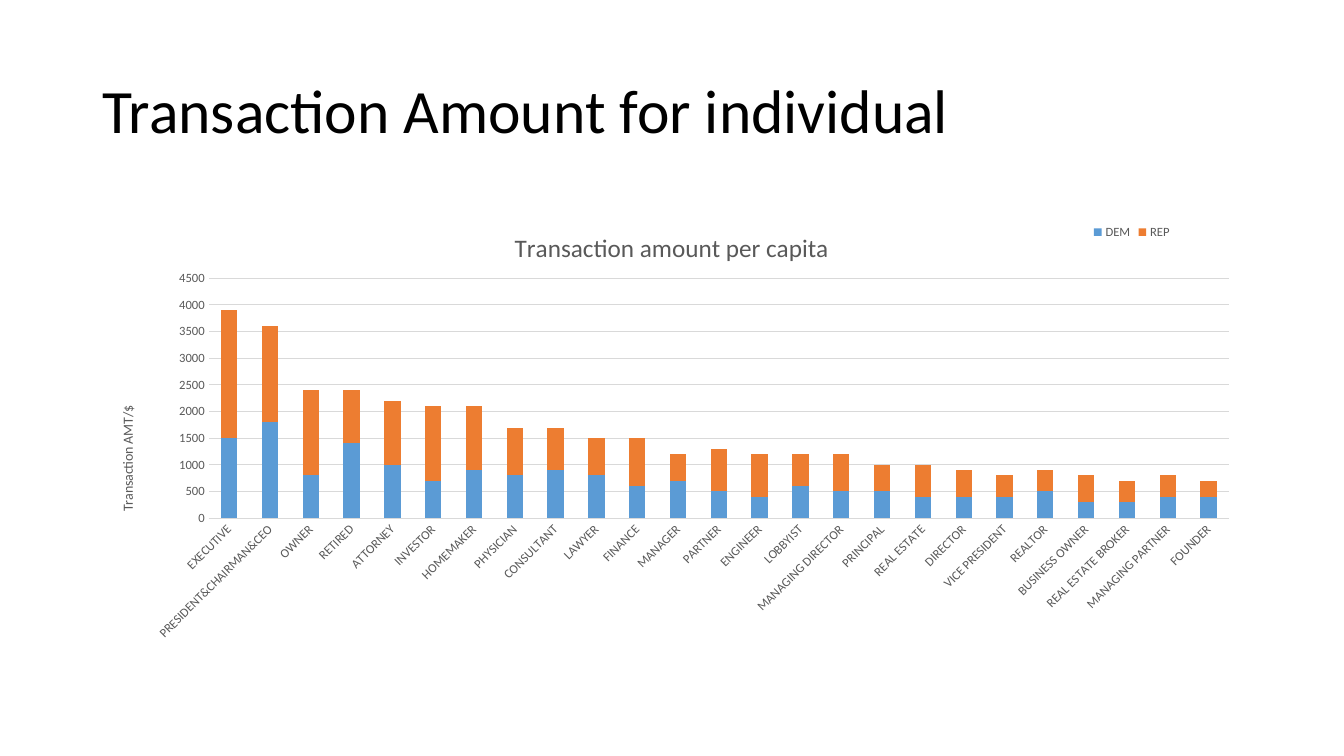
from lxml.etree import SubElement
from pptx import Presentation
from pptx.chart.data import CategoryChartData
from pptx.dml.color import RGBColor
from pptx.enum.chart import XL_CHART_TYPE, XL_LEGEND_POSITION, XL_TICK_MARK
from pptx.enum.text import MSO_ANCHOR
from pptx.oxml.ns import qn
from pptx.util import Inches, Pt

COLORS = {"title": "000000", "label": "595959", "grid": "D9D9D9",
          "DEM": "5B9BD5", "REP": "ED7D31"}
FONT = "Calibri"
TRANSACTIONS = [
    ("EXECUTIVE", 1500, 2400),
    ("PRESIDENT&CHAIRMAN&CEO", 1800, 1800),
    ("OWNER", 800, 1600),
    ("RETIRED", 1400, 1000),
    ("ATTORNEY", 1000, 1200),
    ("INVESTOR", 700, 1400),
    ("HOMEMAKER", 900, 1200),
    ("PHYSICIAN", 800, 900),
    ("CONSULTANT", 900, 800),
    ("LAWYER", 800, 700),
    ("FINANCE", 600, 900),
    ("MANAGER", 700, 500),
    ("PARTNER", 500, 800),
    ("ENGINEER", 400, 800),
    ("LOBBYIST", 600, 600),
    ("MANAGING DIRECTOR", 500, 700),
    ("PRINCIPAL", 500, 500),
    ("REAL ESTATE", 400, 600),
    ("DIRECTOR", 400, 500),
    ("VICE PRESIDENT", 400, 400),
    ("REALTOR", 500, 400),
    ("BUSINESS OWNER", 300, 500),
    ("REAL ESTATE BROKER", 300, 400),
    ("MANAGING PARTNER", 400, 400),
    ("FOUNDER", 400, 300),
]


def style_font(font, size, color):
    font.name = FONT
    font.size = Pt(size)
    font.bold = False
    font.color.rgb = RGBColor.from_string(COLORS[color])


def place(element, index, **shares):
    for layout in element.findall(qn("c:layout")):
        element.remove(layout)
    layout = SubElement(element, qn("c:layout"))
    element.insert(index, layout)
    manual = SubElement(layout, qn("c:manualLayout"))
    if "w" in shares:
        SubElement(manual, qn("c:layoutTarget")).set("val", "inner")
    for side in ("x", "y"):
        SubElement(manual, qn(f"c:{side}Mode")).set("val", "edge")
    for name, share in shares.items():
        SubElement(manual, qn(f"c:{name}")).set("val", str(share))


presentation = Presentation()
presentation.slide_width = Inches(13.33)
presentation.slide_height = Inches(7.5)
slide = presentation.slides.add_slide(presentation.slide_layouts[6])
left, width = Inches(0.92), Inches(11.5)

heading = slide.shapes.add_textbox(left, Inches(0.4), width, Inches(1.45))
heading.text_frame.word_wrap = True
heading.text_frame.vertical_anchor = MSO_ANCHOR.MIDDLE
paragraph = heading.text_frame.paragraphs[0]
paragraph.text = "Transaction Amount for individual"
paragraph.line_spacing = 0.9
style_font(paragraph.font, 44, "title")

occupations, democrat, republican = zip(*TRANSACTIONS)
chart_data = CategoryChartData()
chart_data.categories = occupations
chart_data.add_series("DEM", democrat)
chart_data.add_series("REP", republican)
chart = slide.shapes.add_chart(XL_CHART_TYPE.COLUMN_STACKED, left, Inches(2),
                               width, Inches(4.76), chart_data).chart
style_font(chart.font, 10, "label")

plot = chart.plots[0]
plot.gap_width = 150
plot.overlap = 100
plot.vary_by_categories = False
for series in plot.series:
    series.format.fill.solid()
    series.format.fill.fore_color.rgb = RGBColor.from_string(COLORS[series.name])

category_axis, value_axis = chart.category_axis, chart.value_axis
for axis in (category_axis, value_axis):
    axis.major_tick_mark = XL_TICK_MARK.NONE
    axis.minor_tick_mark = XL_TICK_MARK.NONE
    style_font(axis.tick_labels.font, 9, "label")
value_axis.minimum_scale = 0
value_axis.maximum_scale = 4500
value_axis.major_unit = 500
value_axis.format.line.fill.background()
for line in (category_axis.format.line, value_axis.major_gridlines.format.line):
    line.width = Pt(0.75)
    line.color.rgb = RGBColor.from_string(COLORS["grid"])
label_body = category_axis.tick_labels.font._element.getparent().getparent().getparent()
label_body.find(qn("a:bodyPr")).set("rot", "-2700000")

for title, text, size in (
    (chart.chart_title, "Transaction amount per capita", 18),
    (value_axis.axis_title, "Transaction AMT/$", 10),
):
    title.text_frame.text = text
    style_font(title.text_frame.paragraphs[0].font, size, "label")
axis_body = value_axis.axis_title.text_frame._txBody.find(qn("a:bodyPr"))
axis_body.set("rot", "-5400000")
axis_body.set("vert", "horz")

chart.has_legend = True
chart.legend.position = XL_LEGEND_POSITION.BOTTOM
chart.legend.include_in_layout = False
style_font(chart.legend.font, 9, "label")

place(plot._element.getparent(), 0, x=0.1, y=0.16, w=0.88, h=0.5)
place(chart.chart_title._element, 1, x=0.36, y=0.05)
place(value_axis.axis_title._element, 1, x=0.02, y=0.42)
place(chart.legend._element, 1, x=0.86, y=0.04)

presentation.save("out.pptx")
